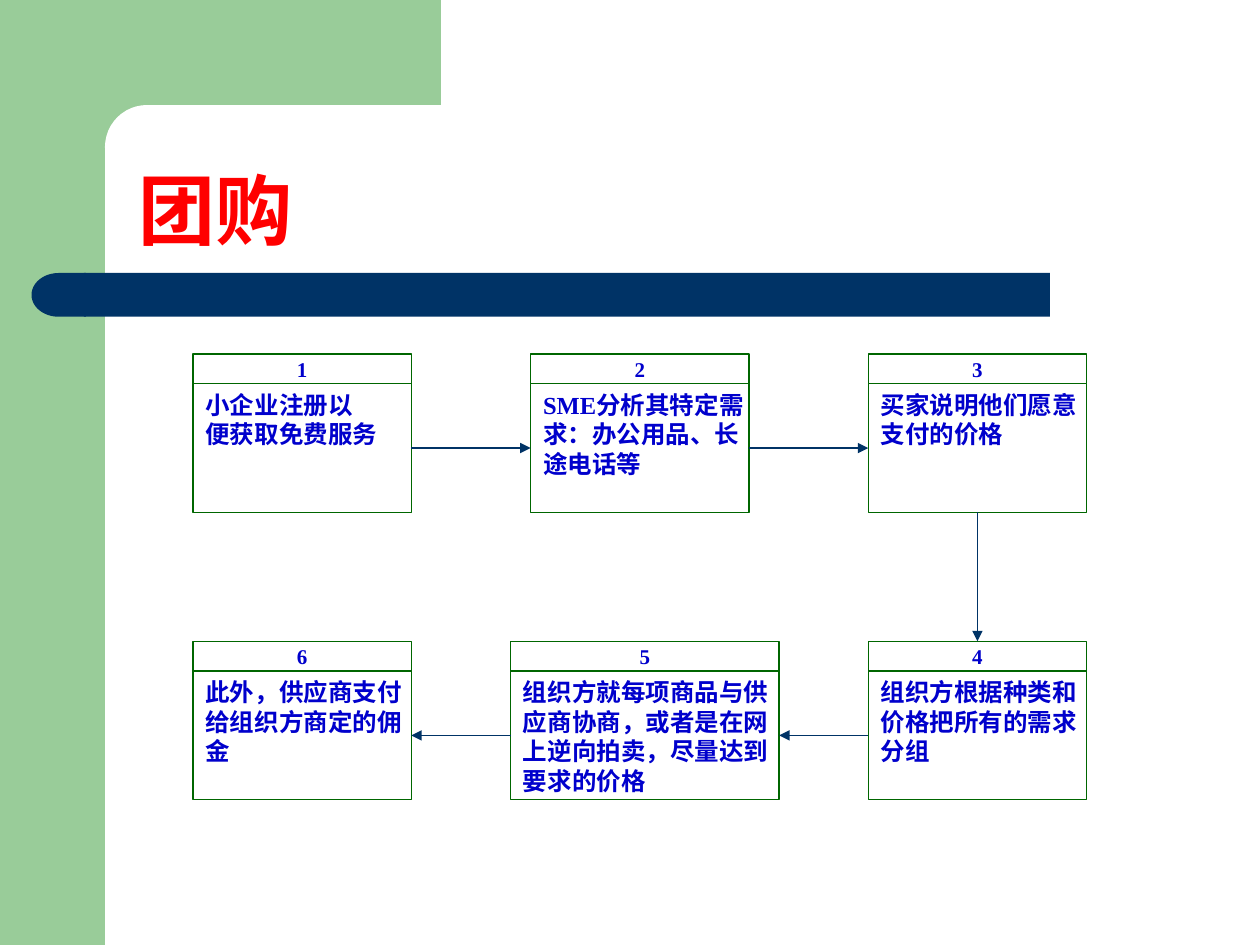
from dataclasses import dataclass
from typing import Any

from lxml import etree
from pptx import Presentation
from pptx.dml.color import RGBColor
from pptx.enum import shapes, text
from pptx.oxml import ns
from pptx.util import Pt

COLOURS = {
    "band": "99CC99",
    "navy": "003366",
    "paper": "FFFFFF",
    "border": "006600",
    "title": "FF0000",
    "step": "0000CC",
}
LEFT, COLUMN_STEP = 110.3, 192.95
ROW_TOPS = (202.3, 366.5)
HEAD_HEIGHT, BODY_HEIGHT = 17, 73.5
BOX_WIDTH, WIDE_WIDTH = 124.7, 153.5
LINE_WIDTH = 0.75

TITLE_FONT = {"name": "Arial", "size": Pt(44), "bold": True}
HEAD_FONT = {"name": "Times New Roman", "size": Pt(12), "bold": True}
BODY_FONT = {**HEAD_FONT, "size": Pt(14)}
FRAME = {"word_wrap": False, "margin_left": Pt(7.2), "margin_right": Pt(7.2),
         "margin_top": Pt(3.6), "margin_bottom": Pt(3.6)}


@dataclass(frozen=True)
class Block:
    kind: Any
    left: float
    top: float
    width: float
    height: float
    colour: str
    corner: float | None = None
    rotation: float = 0


@dataclass(frozen=True)
class Step:
    number: int
    column: int
    row: int
    lines: tuple[str, ...]
    width: float = BOX_WIDTH
    shift: float = 0

    @property
    def left(self) -> float:
        return LEFT + self.column * COLUMN_STEP + self.shift

    @property
    def right(self) -> float:
        return self.left + self.width

    @property
    def centre(self) -> float:
        return self.left + self.width / 2

    @property
    def top(self) -> float:
        return ROW_TOPS[self.row]

    @property
    def body_top(self) -> float:
        return self.top + HEAD_HEIGHT

    @property
    def bottom(self) -> float:
        return self.body_top + BODY_HEIGHT

    @property
    def middle(self) -> float:
        return self.body_top + BODY_HEIGHT / 2


KINDS = shapes.MSO_SHAPE
BLOCKS = (
    Block(KINDS.RECTANGLE, 0, 0, 60, 540, "band"),
    Block(KINDS.RECTANGLE, 54, 0, 198, 84, "band"),
    Block(KINDS.ROUNDED_RECTANGLE, 60, 60, 402, 48, "paper", corner=0.5),
    Block(KINDS.RECTANGLE, 48, 156, 552, 25, "navy"),
    Block(KINDS.FLOWCHART_DELAY, 18, 156, 31, 25, "navy", rotation=180),
)
STEPS = (
    Step(1, 0, 0, ("小企业注册以", "便获取免费服务")),
    Step(2, 1, 0, ("SME分析其特定需", "求：办公用品、长", "途电话等")),
    Step(3, 2, 0, ("买家说明他们愿意", "支付的价格")),
    Step(4, 2, 1, ("组织方根据种类和", "价格把所有的需求", "分组")),
    Step(5, 1, 1, ("组织方就每项商品与供", "应商协商，或者是在网",
                   "上逆向拍卖，尽量达到", "要求的价格"), WIDE_WIDTH, -11.5),
    Step(6, 0, 1, ("此外，供应商支付", "给组织方商定的佣", "金")),
)


def apply(target: Any, values: dict[str, Any]) -> None:
    for name, value in values.items():
        setattr(target, name, value)


def colour(name: str) -> RGBColor:
    return RGBColor.from_string(COLOURS[name])


def draw_block(slide: Any, block: Block) -> Any:
    shape = slide.shapes.add_shape(
        block.kind, Pt(block.left), Pt(block.top), Pt(block.width), Pt(block.height))
    shape.shadow.inherit = False
    shape.fill.solid()
    shape.fill.fore_color.rgb = colour(block.colour)
    shape.line.fill.background()
    shape.rotation = block.rotation
    if block.corner is not None:
        shape.adjustments[0] = block.corner
    return shape


def write(shape: Any, lines: tuple[str, ...], font: dict[str, Any], font_colour: str,
          frame: dict[str, Any], paragraph_format: dict[str, Any]) -> None:
    text_frame = shape.text_frame
    apply(text_frame, frame)
    text_frame.text = "\n".join(lines)
    for paragraph in text_frame.paragraphs:
        apply(paragraph, paragraph_format)
        for run in paragraph.runs:
            apply(run.font, font)
            run.font.color.rgb = colour(font_colour)


def draw_box(slide: Any, step: Step, top: float, height: float, lines: tuple[str, ...],
             font: dict[str, Any], anchor: Any, alignment: Any) -> None:
    shape = draw_block(
        slide, Block(KINDS.RECTANGLE, step.left, top, step.width, height, "paper"))
    shape.line.color.rgb = colour("border")
    shape.line.width = Pt(LINE_WIDTH)
    write(shape, lines, font, "step", {**FRAME, "vertical_anchor": anchor},
          {"alignment": alignment})


def draw_step(slide: Any, step: Step) -> None:
    draw_box(slide, step, step.body_top, BODY_HEIGHT, step.lines, BODY_FONT,
             text.MSO_ANCHOR.TOP, text.PP_ALIGN.LEFT)
    draw_box(slide, step, step.top, HEAD_HEIGHT, (str(step.number),), HEAD_FONT,
             text.MSO_ANCHOR.MIDDLE, text.PP_ALIGN.CENTER)


def draw_arrow(slide: Any, start: Step, end: Step) -> None:
    if start.column == end.column:
        points = (start.centre, start.bottom, end.centre, end.top)
    elif start.column < end.column:
        points = (start.right, start.middle, end.left, end.middle)
    else:
        points = (start.left, start.middle, end.right, end.middle)
    connector = slide.shapes.add_connector(
        shapes.MSO_CONNECTOR.STRAIGHT, *(Pt(value) for value in points))
    connector.line.color.rgb = colour("navy")
    connector.line.width = Pt(LINE_WIDTH)
    line = connector.line._get_or_add_ln()
    etree.SubElement(line, ns.qn("a:tailEnd"), type="triangle")
    etree.SubElement(connector._element.spPr, ns.qn("a:effectLst"))


def main() -> None:
    presentation = Presentation()
    apply(presentation, {"slide_width": Pt(720), "slide_height": Pt(540)})
    slide = presentation.slides.add_slide(presentation.slide_layouts[6])
    for block in BLOCKS:
        draw_block(slide, block)
    title = slide.shapes.add_textbox(Pt(72), Pt(60), Pt(630), Pt(90))
    write(title, ("团购",), TITLE_FONT, "title",
          {**FRAME, "word_wrap": True, "vertical_anchor": text.MSO_ANCHOR.BOTTOM},
          {"line_spacing": 0.9})
    for step in STEPS:
        draw_step(slide, step)
    for start, end in zip(STEPS, STEPS[1:]):
        draw_arrow(slide, start, end)
    presentation.save("out.pptx")


if __name__ == "__main__":
    main()
